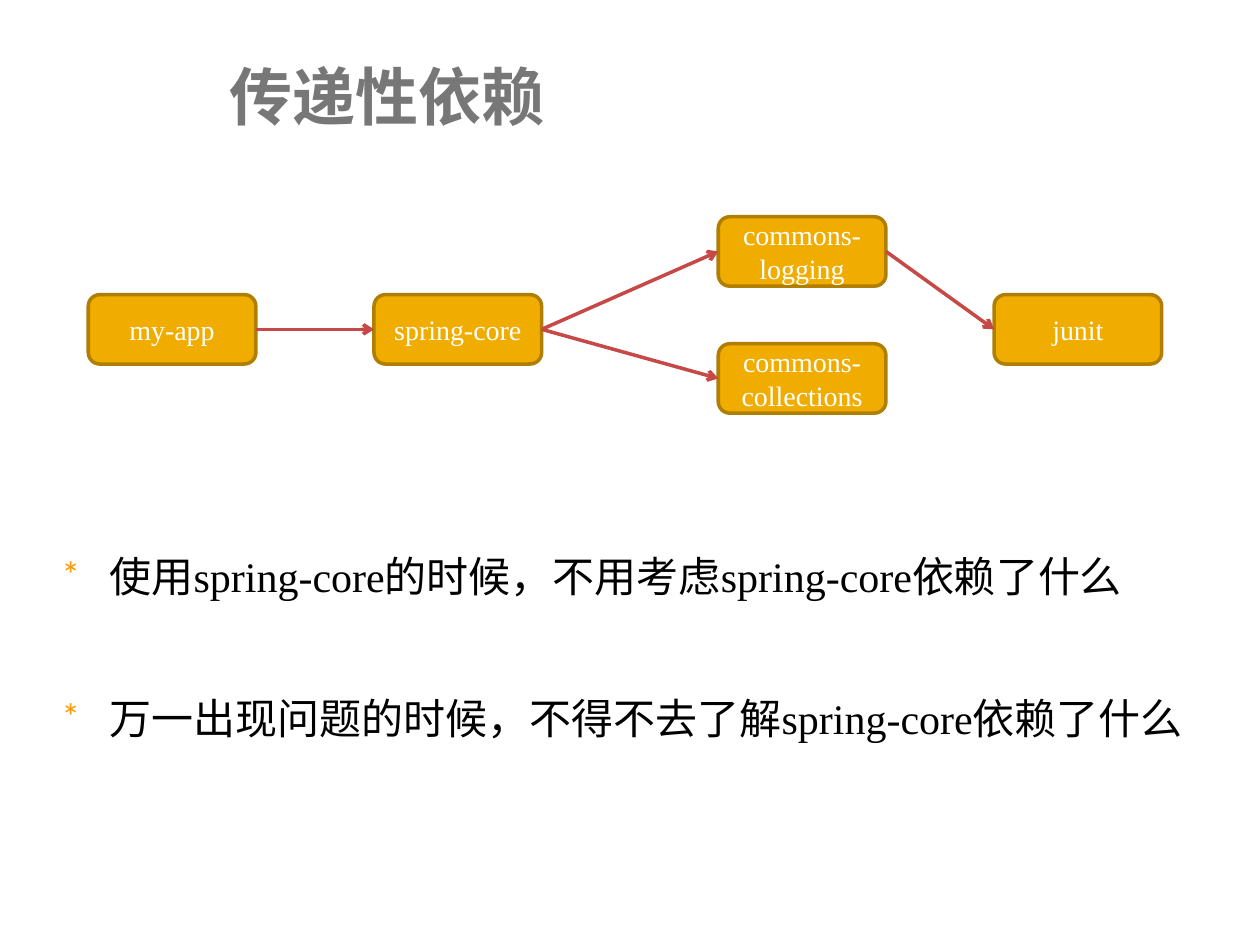
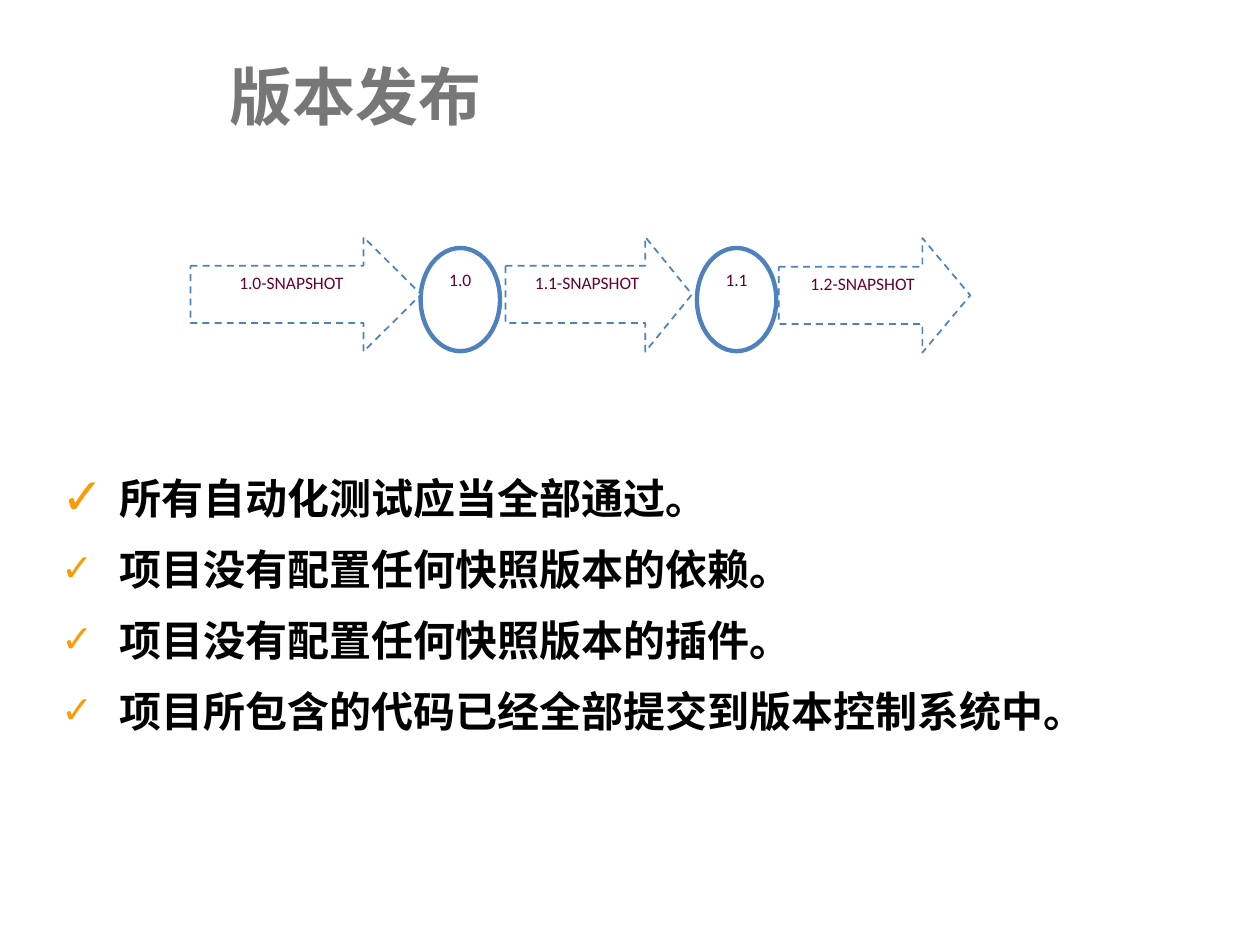
"""Build two slides on transitive dependencies and version releases."""
from lxml import etree
from pptx import Presentation
from pptx.dml.color import RGBColor
from pptx.enum import dml, lang, shapes, text
from pptx.oxml import ns
from pptx.util import Cm, Pt

GREY = RGBColor(0x77, 0x77, 0x77)
BLACK = RGBColor(0, 0, 0)
WHITE = RGBColor(0xFF, 0xFF, 0xFF)
ORANGE = RGBColor(0xFF, 0x99, 0x00)
AMBER = RGBColor(0xF0, 0xAD, 0x00)
BROWN = RGBColor(0xB0, 0x7E, 0x00)
RED = RGBColor(0xC6, 0x48, 0x47)
BLUE = RGBColor(0x4F, 0x81, 0xBD)
PLUM = RGBColor(0x66, 0x00, 0x33)

TITLE_FONT = dict(name="Cambria", size=Pt(36), bold=True, color=GREY)
POINT_FONT = dict(name="Times New Roman", size=Pt(24), color=BLACK)
NODE_FONT = dict(name="Times New Roman", size=Pt(16), color=WHITE)
VERSION_FONT = dict(name="Calibri", size=Pt(10), color=PLUM)

DEPENDENCY_TITLE = "传递性依赖"
DEPENDENCIES = {
    "my-app": (1.78, 5.94),
    "spring-core": (7.54, 5.94),
    "commons-logging": (14.48, 4.37),
    "commons-collections": (14.48, 6.93),
    "junit": (20.04, 5.94),
}
DEPENDS_ON = [
    ("my-app", "spring-core"),
    ("spring-core", "commons-logging"),
    ("spring-core", "commons-collections"),
    ("commons-logging", "junit"),
]
DEPENDENCY_POINTS = [
    "使用spring-core的时候，不用考虑spring-core依赖了什么",
    "万一出现问题的时候，不得不去了解spring-core依赖了什么",
]

RELEASE_TITLE = "版本发布"
SNAPSHOTS = [
    ("1.0-SNAPSHOT", 3.84, 4.78, 4.65),
    ("1.1-SNAPSHOT", 10.19, 4.78, 3.76),
    ("1.2-SNAPSHOT", 15.7, 4.8, 3.86),
]
RELEASES = [("1.0", 8.48), ("1.1", 14.05)]
RELEASE_POINTS = [
    "所有自动化测试应当全部通过。",
    "项目没有配置任何快照版本的依赖。",
    "项目没有配置任何快照版本的插件。",
    "项目所包含的代码已经全部提交到版本控制系统中。",
]


def write(paragraph, words, style):
    run = paragraph.add_run()
    run.text = words
    run.font.language_id = lang.MSO_LANGUAGE_ID.SIMPLIFIED_CHINESE
    for key, value in style.items():
        if key == "color":
            run.font.color.rgb = value
        else:
            setattr(run.font, key, value)


def add_box(slide, left, top, width, height, **frame_format):
    frame = slide.shapes.add_textbox(Cm(left), Cm(top), Cm(width), Cm(height)).text_frame
    frame.word_wrap = True
    for key, value in frame_format.items():
        setattr(frame, key, value)
    return frame


def add_slide(deck, title):
    slide = deck.slides.add_slide(deck.slide_layouts[6])
    heading = add_box(slide, 4.37, 1.02, 19.76, 1.8, vertical_anchor=text.MSO_ANCHOR.MIDDLE)
    write(heading.paragraphs[0], title, TITLE_FONT)
    return slide


def set_bullet(paragraph, mark, percent, indent):
    props = paragraph._p.get_or_add_pPr()
    props.set("marL", str(Cm(indent)))
    props.set("indent", str(-Cm(indent)))
    color = etree.SubElement(props, ns.qn("a:buClr"))
    etree.SubElement(color, ns.qn("a:srgbClr"), val=str(ORANGE))
    etree.SubElement(props, ns.qn("a:buSzPct"), val=str(percent * 1000))
    etree.SubElement(props, ns.qn("a:buFont"), typeface="Calibri")
    etree.SubElement(props, ns.qn("a:buChar"), char=mark)


def add_points(slide, points, top, mark, indent, gap, first_percent=90, bold=False):
    body = add_box(slide, 0.99, top, 23.14, 17.27 - top, margin_top=0)
    for index, point in enumerate(points):
        paragraph = body.paragraphs[0] if index == 0 else body.add_paragraph()
        paragraph.line_spacing = 1.2
        paragraph.space_before = Pt(gap if index else 0)
        set_bullet(paragraph, mark, 90 if index else first_percent, indent)
        write(paragraph, point, POINT_FONT | dict(bold=bold))


def add_label(slide, kind, box, words, style, fill, outline, weight, anchor):
    shape = slide.shapes.add_shape(kind, *map(Cm, box))
    shape.shadow.inherit = False
    shape.fill.solid()
    shape.fill.fore_color.rgb = fill
    shape.line.color.rgb = outline
    shape.line.width = Pt(weight)
    shape.text_frame.word_wrap = True
    shape.text_frame.vertical_anchor = anchor
    paragraph = shape.text_frame.paragraphs[0]
    paragraph.alignment = text.PP_ALIGN.CENTER
    write(paragraph, words, style)
    return shape


def add_arrow(slide, source, target):
    arrow = slide.shapes.add_connector(shapes.MSO_CONNECTOR.STRAIGHT, 0, 0, 0, 0)
    arrow.begin_connect(source, 3)
    arrow.end_connect(target, 1)
    arrow.line.color.rgb = RED
    arrow.line.width = Pt(2)
    etree.SubElement(arrow.line._get_or_add_ln(), ns.qn("a:tailEnd"), type="arrow")
    etree.SubElement(arrow._element.spPr, ns.qn("a:effectLst"))


def build_dependencies(deck):
    slide = add_slide(deck, DEPENDENCY_TITLE)
    add_points(slide, DEPENDENCY_POINTS, 10.9, "*", 0.97, 46.5)
    nodes = {
        name: add_label(slide, shapes.MSO_SHAPE.ROUNDED_RECTANGLE, (*place, 3.38, 1.4),
                        name, NODE_FONT, AMBER, BROWN, 2, text.MSO_ANCHOR.MIDDLE)
        for name, place in DEPENDENCIES.items()
    }
    for source, target in DEPENDS_ON:
        add_arrow(slide, nodes[source], nodes[target])


def build_releases(deck):
    slide = add_slide(deck, RELEASE_TITLE)
    add_points(slide, RELEASE_POINTS, 9.32, "✓", 1.17, 6, first_percent=120, bold=True)
    for version, left in RELEASES:
        add_label(slide, shapes.MSO_SHAPE.OVAL, (left, 5, 1.6, 2.08), version,
                  VERSION_FONT, WHITE, BLUE, 2.5, text.MSO_ANCHOR.TOP)
    for version, left, top, width in SNAPSHOTS:
        height = 2.31
        snapshot = add_label(slide, shapes.MSO_SHAPE.RIGHT_ARROW, (left, top, width, height),
                             version, VERSION_FONT, WHITE, BLUE, 1, text.MSO_ANCHOR.TOP)
        snapshot.line.dash_style = dml.MSO_LINE.DASH
        snapshot.adjustments[1] = width / 4 / height


def main():
    deck = Presentation()
    deck.slide_width, deck.slide_height = Cm(25.4), Cm(19.05)
    build_dependencies(deck)
    build_releases(deck)
    deck.save("out.pptx")


if __name__ == "__main__":
    main()
